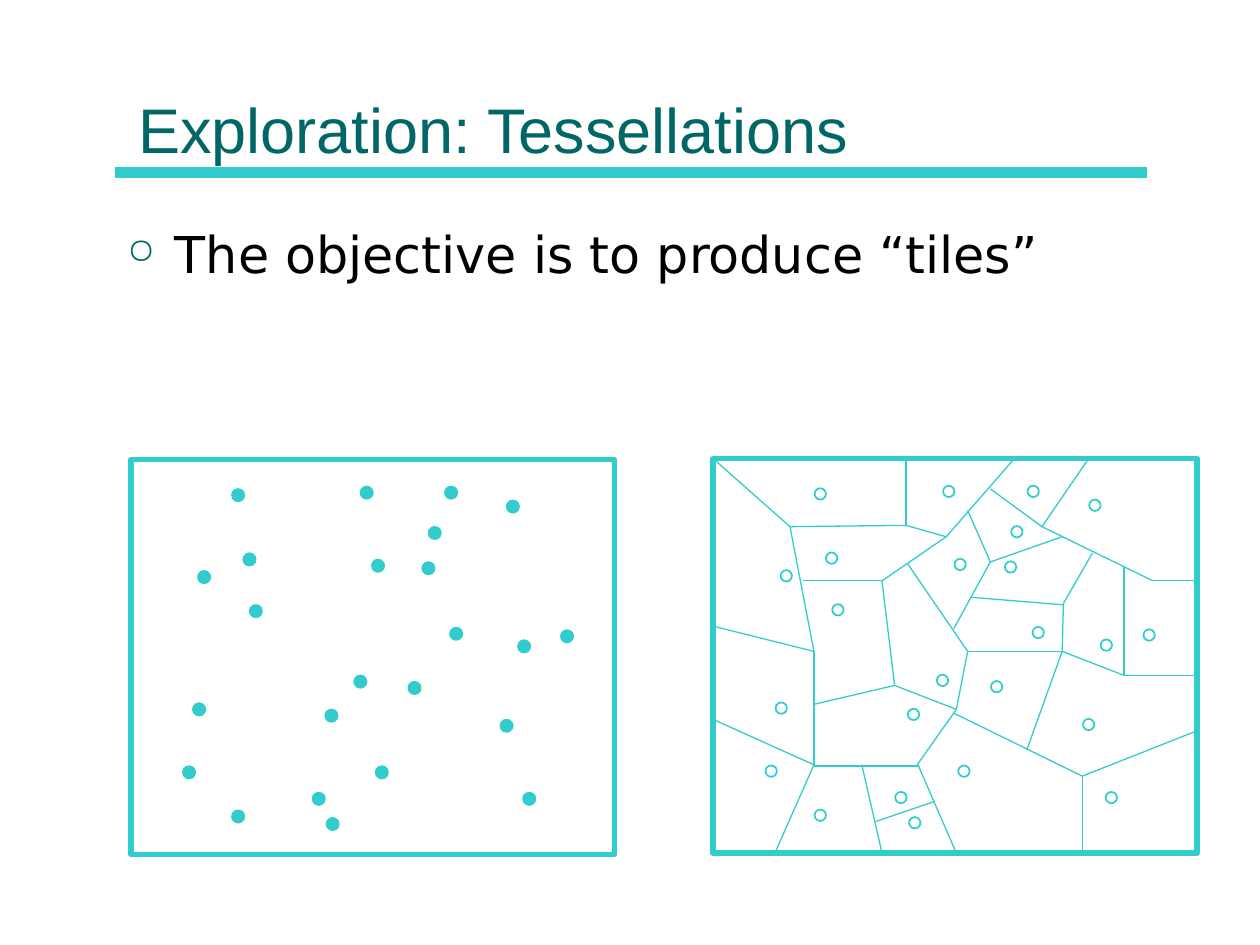
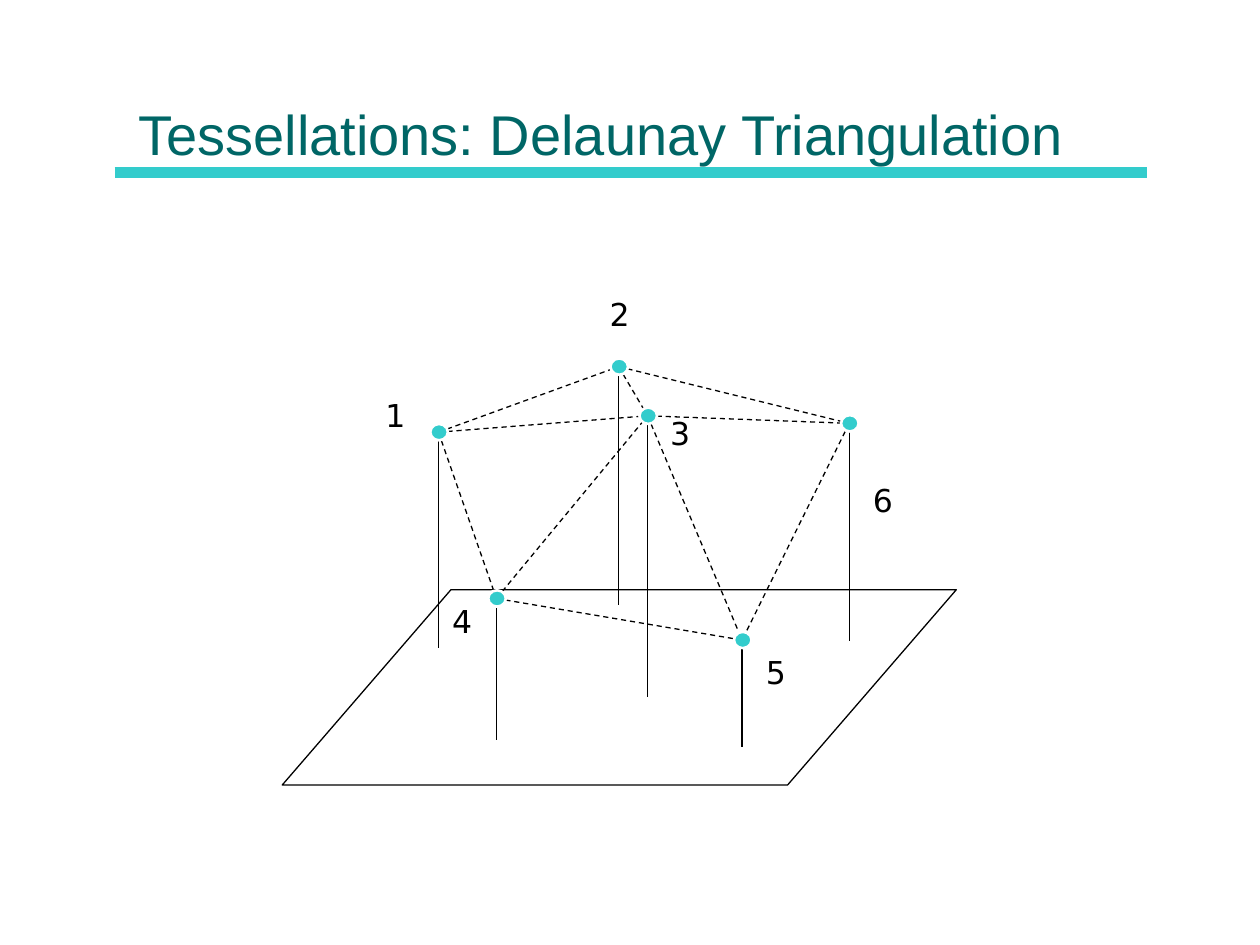
from itertools import pairwise

from lxml.etree import SubElement
from pptx import Presentation
from pptx.dml.color import RGBColor
from pptx.enum.dml import MSO_LINE
from pptx.enum.shapes import MSO_CONNECTOR, MSO_SHAPE
from pptx.enum.text import MSO_ANCHOR
from pptx.oxml.ns import qn
from pptx.util import Inches, Pt

COLORS = {"accent": "33CCCC", "title": "006666", "ink": "000000", "paper": "FFFFFF"}
TITLE_FONT, BODY_FONT = "Arial", "DejaVu Sans"

deck = Presentation()
deck.slide_width, deck.slide_height = Inches(10), Inches(7.5)
CELL = deck.slide_width / 100  # square grid: 100 columns by 75 rows


def draw(slide, preset, box, fill, line, weight):
    """Add a preset shape; box is left, top, width, height in grid cells."""
    shape = slide.shapes.add_shape(preset, *(round(v * CELL) for v in box))
    shape.shadow.inherit = False
    if fill:
        shape.fill.solid()
        shape.fill.fore_color.rgb = RGBColor.from_string(COLORS[fill])
    else:
        shape.fill.background()
    shape.line.color.rgb = RGBColor.from_string(COLORS[line])
    shape.line.width = Pt(weight)
    return shape


def join(slide, start, end, color, weight=0.75, dash=None):
    """Add a straight line between two grid points."""
    ends = (round(v * CELL) for v in (*start, *end))
    line = slide.shapes.add_connector(MSO_CONNECTOR.STRAIGHT, *ends)
    line.line.color.rgb = RGBColor.from_string(COLORS[color])
    line.line.width = Pt(weight)
    if dash:
        line.line.dash_style = dash
    SubElement(line._element.spPr, qn("a:effectLst"))


tiles_slide, delaunay_slide = (
    deck.slides.add_slide(deck.slide_layouts[6]) for _ in range(2)
)
for slide in (tiles_slide, delaunay_slide):
    join(slide, (9.1, 13.7), (91, 13.7), "accent", 6)

# Tessellation: sites and tile borders are measured from a panel's corner
PANEL_W, PANEL_H = 38.4, 31.3
SITE = 0.9
panels = [((10.4, 36.5), "accent", 1.5), ((56.6, 36.4), None, 1)]
sites = [
    (16, 28.9), (18.7, 2.6), (8.5, 2.8), (34.6, 14), (14.9, 26.9), (30.3, 3.7),
    (9.9, 12), (15.9, 20.3), (23.6, 8.6), (5.4, 19.8), (9.4, 7.9), (4.6, 24.8),
    (22.5, 18.1), (25.4, 2.6), (19.6, 8.4), (5.8, 9.3), (24.1, 5.8), (31.2, 14.8),
    (31.6, 26.9), (19.9, 24.8), (8.5, 28.3), (18.2, 17.6), (29.8, 21.1), (25.8, 13.8),
]
tile_borders = [
    [(0, 20.7), (8, 24.3), (4.9, PANEL_H)],
    [(8, 24.3), (8, 15.3), (0, 13.3)],
    [(8, 15.3), (6.1, 5.4), (0, 0)],
    [(6.1, 5.4), (15.3, 5.3), (15.3, 0)],
    [(7.1, 9.7), (13.4, 9.7), (18.5, 6.2), (23.9, 0)],
    [(15.3, 5.3), (18.5, 6.2)],
    [(22, 2.4), (26.1, 5.4), (29.8, 0)],
    [(26.1, 5.4), (34.9, 9.7), (PANEL_W, 9.7)],
    [(13.4, 9.7), (14.4, 18), (8, 19.5)],
    [(14.4, 18), (19.3, 19.9), (16.2, 24.3)],
    [(8, 24.4), (16.3, 24.4), (19.3, PANEL_H)],
    [(11.8, 24.3), (13.4, PANEL_H)],
    [(12.9, 28.8), (17.6, 27.2)],
    [(15.4, 8.3), (20.2, 15.3), (19.3, 19.9)],
    [(19.1, 20.2), (29.3, 25.2), (PANEL_W, 21.6)],
    [(29.3, 25.2), (29.3, PANEL_H)],
    [(20.2, 4.1), (22, 8.2), (19.1, 13.5)],
    [(22, 8.2), (27.7, 6.2)],
    [(20.2, 15.3), (27.7, 15.3)],
    [(20.4, 11), (27.8, 11.6)],
    [(30.1, 7.5), (27.8, 11.5), (27.7, 15.3), (24.9, 23.1)],
    [(32.6, 8.6), (32.6, 17.2)],
    [(27.7, 15.3), (32.6, 17.2), (PANEL_W, 17.2)],
]
for (left, top), site_fill, site_line in panels:
    for x, y in sites:
        site_box = (left + x - SITE / 2, top + y - SITE / 2, SITE, SITE)
        draw(tiles_slide, MSO_SHAPE.OVAL, site_box, site_fill, "accent", site_line)

left, top = panels[1][0]
for border in tile_borders:
    corners = [(left + x, top + y) for x, y in border]
    for start, end in pairwise(corners):
        join(tiles_slide, start, end, "accent")

for (left, top), _, _ in panels:
    draw(tiles_slide, MSO_SHAPE.RECTANGLE, (left, top, PANEL_W, PANEL_H), None, "accent", 3)

# Delaunay triangulation: number -> (vertex, foot of its pole, label corner)
vertices = {
    1: ((34.8, 34.3), 51.4, (29.6, 30.9)),
    2: ((49.1, 29.1), 48, (47.4, 22.9)),
    3: ((51.4, 33), 55.3, (52.2, 32.4)),
    4: ((39.4, 47.5), 58.7, (34.9, 47.3)),
    5: ((58.9, 50.8), 59.3, (59.8, 51.3)),
    6: ((67.4, 33.6), 50.9, (68.3, 37.7)),
}
triangle_edges = [
    (1, 4), (4, 3), (1, 3), (1, 2), (2, 3), (2, 6), (3, 6), (3, 5), (4, 5), (6, 5),
]
plane = draw(delaunay_slide, MSO_SHAPE.PARALLELOGRAM, (22.4, 46.8, 53.5, 15.5),
             None, "ink", 0.75)
plane.adjustments[0] = 0.864
for (x, y), foot, _ in vertices.values():
    join(delaunay_slide, (x, y), (x, foot), "ink")
for a, b in triangle_edges:
    join(delaunay_slide, vertices[a][0], vertices[b][0], "ink", dash=MSO_LINE.DASH)
for (x, y), _, _ in vertices.values():
    draw(delaunay_slide, MSO_SHAPE.OVAL, (x - 0.65, y - 0.65, 1.4, 1.3),
         "accent", "paper", 1.5)

# All wording: slide, text, box, font, size, colour, anchor, wrap
title_box, body_box = (10, 1.2, 80, 12.5), (9.1, 17.2, 81.9, 45)
title_style = (TITLE_FONT, "title", MSO_ANCHOR.BOTTOM, True)
body_style = (BODY_FONT, "ink", MSO_ANCHOR.TOP, True)
label_style = (BODY_FONT, "ink", MSO_ANCHOR.TOP, False)
wording = [
    (tiles_slide, "Exploration: Tessellations", title_box, 36, title_style),
    (tiles_slide, "The objective is to produce “tiles”", body_box, 29, body_style),
    (delaunay_slide, "Tessellations: Delaunay Triangulation", title_box, 32, title_style),
]
for number, (_, _, corner) in vertices.items():
    wording.append((delaunay_slide, str(number), (*corner, 3.4, 4), 18, label_style))

for slide, text, box, size, style in wording:
    font_name, color, anchor, wrap = style
    frame = slide.shapes.add_textbox(*(round(v * CELL) for v in box)).text_frame
    frame.word_wrap = wrap
    frame.vertical_anchor = anchor
    frame.text = text
    paragraph = frame.paragraphs[0]
    if style is body_style:
        properties = paragraph._p.get_or_add_pPr()
        properties.set("marL", str(Inches(0.38)))
        properties.set("indent", str(-Inches(0.38)))
        bullet_color = SubElement(properties, qn("a:buClr"))
        SubElement(bullet_color, qn("a:srgbClr"), val=COLORS["title"])
        SubElement(properties, qn("a:buSzPct"), val="70000")
        SubElement(properties, qn("a:buChar"), char="○")
    font = paragraph.runs[0].font
    font.name, font.size = font_name, Pt(size)
    font.color.rgb = RGBColor.from_string(COLORS[color])

deck.save("out.pptx")
